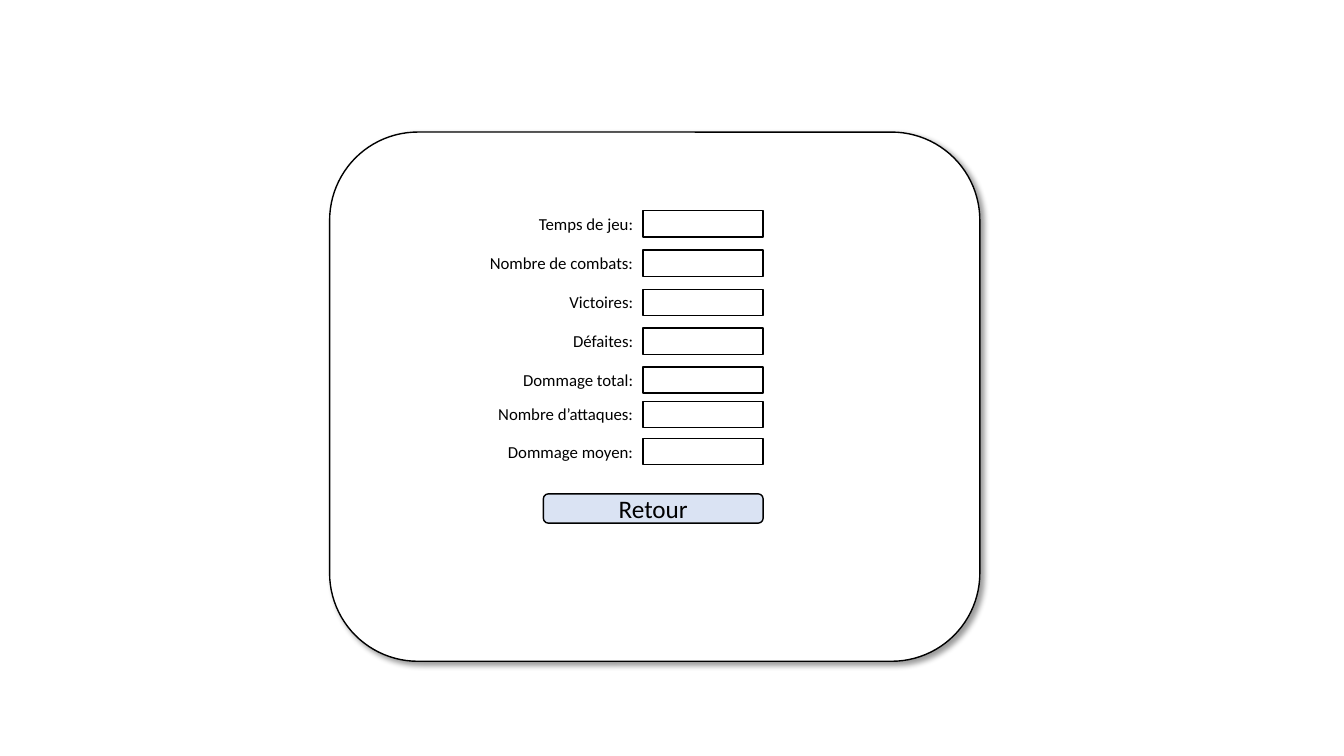
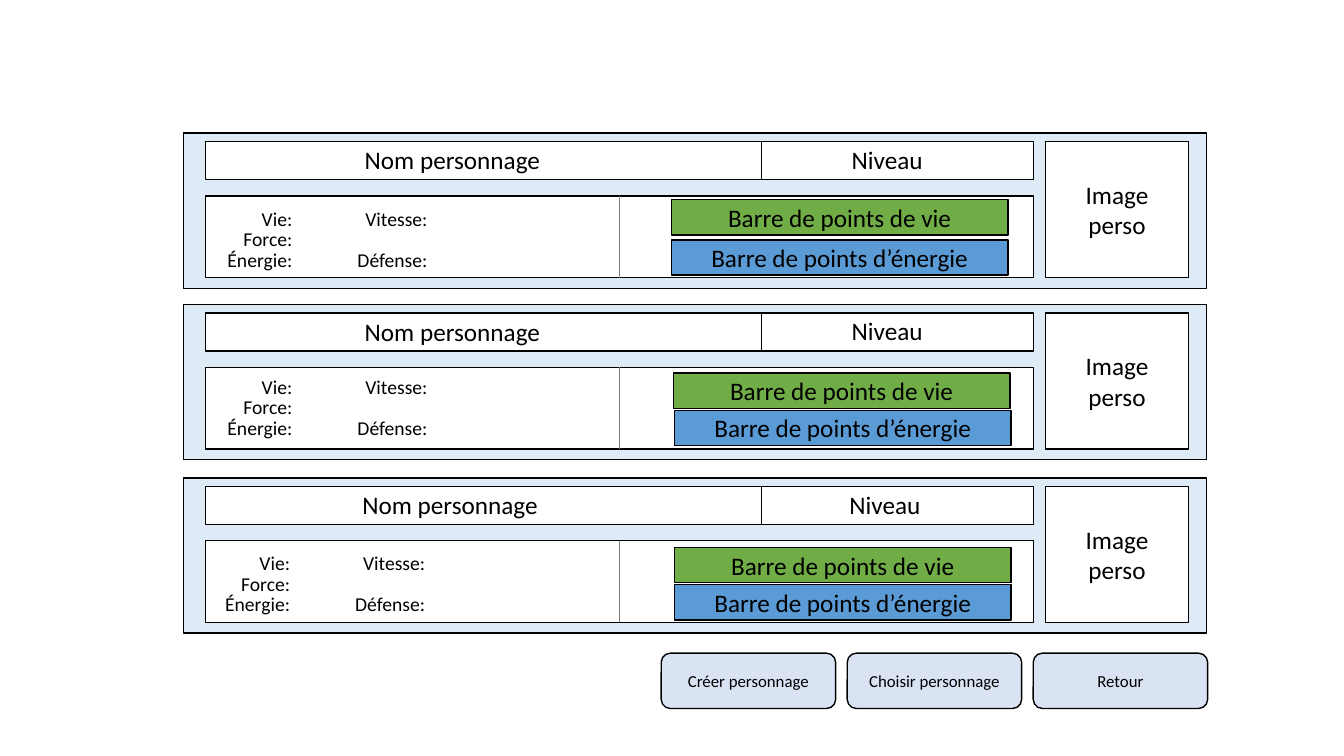
"""Build the statistics and character selection screens of a game."""
from typing import NamedTuple, Optional

from lxml.etree import SubElement
from pptx import Presentation
from pptx.dml.color import RGBColor
from pptx.enum.shapes import MSO_CONNECTOR, MSO_SHAPE
from pptx.enum.text import MSO_ANCHOR, MSO_AUTO_SIZE, PP_ALIGN
from pptx.oxml.ns import qn
from pptx.util import Inches, Pt

SLIDE_WIDTH = Inches(13.333)
SLIDE_HEIGHT = Inches(7.5)
FONT = "Calibri"

BLACK = RGBColor(0x00, 0x00, 0x00)
WHITE = RGBColor(0xFF, 0xFF, 0xFF)
GREY = RGBColor(0x7F, 0x7F, 0x7F)
BUTTON_BLUE = RGBColor(0xDA, 0xE3, 0xF3)
CARD_BLUE = RGBColor(0xDE, 0xEB, 0xF7)
LIFE_GREEN = RGBColor(0x70, 0xAD, 0x47)
ENERGY_BLUE = RGBColor(0x5B, 0x9B, 0xD5)


class Box(NamedTuple):
    """Hold a rectangle in percent of the slide's width and height."""
    left: float
    top: float
    width: float
    height: float

    def moved(self, right: float = 0, down: float = 0) -> "Box":
        """Return the box shifted by the given shares."""
        return self._replace(left=self.left + right, top=self.top + down)


class Field(NamedTuple):
    """Describe a labelled statistic and the top of its frame."""
    label: str
    top: float


class Stat(NamedTuple):
    """Describe a character trait by its column and row in a card."""
    label: str
    column: int
    row: int


class Bar(NamedTuple):
    """Place a gauge: left on the slide, top within its card."""
    left: float
    top: float


class Card(NamedTuple):
    """Describe where a character card and its loose parts sit."""
    top: float
    text_shift: float
    stats_top: float
    life: Bar
    energy: Bar


PANEL = Box(24.53, 17.47, 48.38, 70)
BACK_BUTTON = Box(40.43, 65.33, 16.35, 3.87)
FIELD_FRAME = Box(47.85, 0, 8.93, 3.47)
FIELD_LABEL = Box(34.87, -0.27, 12.98, 4)
FIELDS = (
    Field("Temps de jeu:", 27.87),
    Field("Nombre de combats:", 33.07),
    Field("Victoires:", 38.27),
    Field("Défaites:", 43.4),
    Field("Dommage total:", 48.53),
    Field("Nombre d’attaques:", 53.07),
    Field("Dommage moyen:", 58),
)

CARD_FRAME = Box(13.65, 0, 76.13, 20.53)
CARD_HEADER = Box(15.3, 1.12, 61.58, 5.07)
CARD_BODY = Box(15.3, 8.31, 61.58, 10.8)
CARD_IMAGE = Box(77.78, 1.12, 10.65, 18)
NAME_TEXT = Box(26.4, 0.85, 22.2, 5.33)
LEVEL_TEXT = Box(62.63, 0.8, 22.2, 5.33)
STAT_TEXT = Box(15.3, 0, 7.2, 4.53)
STAT_COLUMN, STAT_ROW = 10.05, 2.7
HEADER_DIVIDER, BODY_DIVIDER = 56.63, 46.05
BAR_WIDTH, BAR_HEIGHT = 25.05, 4.67
STATS = (
    Stat("Vie:", 0, 0),
    Stat("Force:", 0, 1),
    Stat("Énergie:", 0, 2),
    Stat("Vitesse:", 1, 0),
    Stat("Défense:", 1, 2),
)
CARDS = (
    Card(17.6, 0, 9.07, Bar(49.95, 8.8), Bar(49.95, 14.13)),
    Card(40.27, 0, 8.67, Bar(50.1, 9.07), Bar(50.18, 14)),
    Card(63.2, -0.17, 9.07, Bar(50.18, 9.2), Bar(50.18, 14.13)),
)
BUTTON = Box(49.2, 86.4, 12.98, 7.33)
BUTTON_PITCH = 13.84
BUTTONS = ("Créer personnage", "Choisir personnage", "Retour")


def across(share: float) -> int:
    """Convert a percentage of the slide's width to a length."""
    return round(SLIDE_WIDTH * share / 100)


def down(share: float) -> int:
    """Convert a percentage of the slide's height to a length."""
    return round(SLIDE_HEIGHT * share / 100)


def place(box: Box) -> tuple:
    """Return the left, top, width and height of a box as lengths."""
    return across(box.left), down(box.top), across(box.width), down(box.height)


def write(frame, text: str, *, size: float,
          align: Optional[PP_ALIGN] = None) -> None:
    """Write one formatted paragraph into a text frame."""
    frame.word_wrap = True
    para = frame.paragraphs[0]
    para.alignment = align
    span = para.add_run()
    span.text = text
    span.font.name = FONT
    span.font.size = Pt(size)
    span.font.color.rgb = BLACK


def add_text(page, box: Box, text: str, *, size: float,
             align: Optional[PP_ALIGN] = None) -> None:
    """Add a text box that grows with its text."""
    frame = page.shapes.add_textbox(*place(box)).text_frame
    write(frame, text, size=size, align=align)
    frame.auto_size = MSO_AUTO_SIZE.SHAPE_TO_FIT_TEXT


def add_box(page, box: Box, *, fill: RGBColor = WHITE, text: str = "",
            size: float = 18, rounded: bool = False):
    """Add an outlined rectangle with optional centred text."""
    kind = MSO_SHAPE.ROUNDED_RECTANGLE if rounded else MSO_SHAPE.RECTANGLE
    shape = page.shapes.add_shape(kind, *place(box))
    shape.shadow.inherit = False
    shape.fill.solid()
    shape.fill.fore_color.rgb = fill
    shape.line.color.rgb = BLACK
    shape.line.width = Pt(1)
    if text:
        shape.text_frame.vertical_anchor = MSO_ANCHOR.MIDDLE
        write(shape.text_frame, text, size=size, align=PP_ALIGN.CENTER)
    return shape


def add_shadow(shape) -> None:
    """Cast a soft shadow to the lower right of a shape."""
    effects = shape._element.spPr.find(qn("a:effectLst"))
    shadow = SubElement(effects, qn("a:outerShdw"), blurRad=str(Pt(4)),
                        dist=str(Pt(3)), dir="2700000", algn="tl",
                        rotWithShape="0")
    colour = SubElement(shadow, qn("a:srgbClr"), val=str(BLACK))
    SubElement(colour, qn("a:alpha"), val="40000")


def add_divider(page, left: float, box: Box, *, colour: RGBColor) -> None:
    """Draw a thin vertical line over the full height of a box."""
    line = page.shapes.add_connector(
        MSO_CONNECTOR.STRAIGHT, across(left), down(box.top),
        across(left), down(box.top + box.height))
    line.line.color.rgb = colour
    line.line.width = Pt(0.5)
    SubElement(line._element.spPr, qn("a:effectLst"))


def add_card(page, card: Card) -> None:
    """Draw one character card."""
    header = CARD_HEADER.moved(down=card.top)
    body = CARD_BODY.moved(down=card.top)
    add_box(page, CARD_FRAME.moved(down=card.top), fill=CARD_BLUE)
    add_box(page, header)
    add_box(page, body)
    add_box(page, CARD_IMAGE.moved(down=card.top), text="Image perso")
    add_divider(page, HEADER_DIVIDER, header, colour=BLACK)
    add_divider(page, BODY_DIVIDER, body, colour=GREY)
    for box, text in ((NAME_TEXT, "Nom personnage"), (LEVEL_TEXT, "Niveau")):
        add_text(page, box.moved(card.text_shift, card.top), text, size=18)
    for stat in STATS:
        box = STAT_TEXT.moved(card.text_shift + stat.column * STAT_COLUMN,
                              card.top + card.stats_top + stat.row * STAT_ROW)
        add_text(page, box, stat.label, size=14, align=PP_ALIGN.RIGHT)
    for bar, fill, text in (
            (card.life, LIFE_GREEN, "Barre de points de vie"),
            (card.energy, ENERGY_BLUE, "Barre de points d’énergie")):
        box = Box(bar.left, card.top + bar.top, BAR_WIDTH, BAR_HEIGHT)
        add_box(page, box, fill=fill, text=text)


def build_statistics(page) -> None:
    """Draw the statistics screen."""
    add_shadow(add_box(page, PANEL, rounded=True))
    add_box(page, BACK_BUTTON, fill=BUTTON_BLUE, text="Retour", rounded=True)
    for field in FIELDS:
        add_box(page, FIELD_FRAME.moved(down=field.top))
        add_text(page, FIELD_LABEL.moved(down=field.top), field.label,
                 size=12, align=PP_ALIGN.RIGHT)


def build_selection(page) -> None:
    """Draw the character selection screen."""
    for card in CARDS:
        add_card(page, card)
    for column, text in enumerate(BUTTONS):
        add_box(page, BUTTON.moved(right=column * BUTTON_PITCH),
                fill=BUTTON_BLUE, text=text, size=12, rounded=True)


def main() -> None:
    """Build both slides and save the deck."""
    deck = Presentation()
    deck.slide_width = SLIDE_WIDTH
    deck.slide_height = SLIDE_HEIGHT
    for build in (build_statistics, build_selection):
        build(deck.slides.add_slide(deck.slide_layouts[6]))
    deck.save("out.pptx")


if __name__ == "__main__":
    main()
